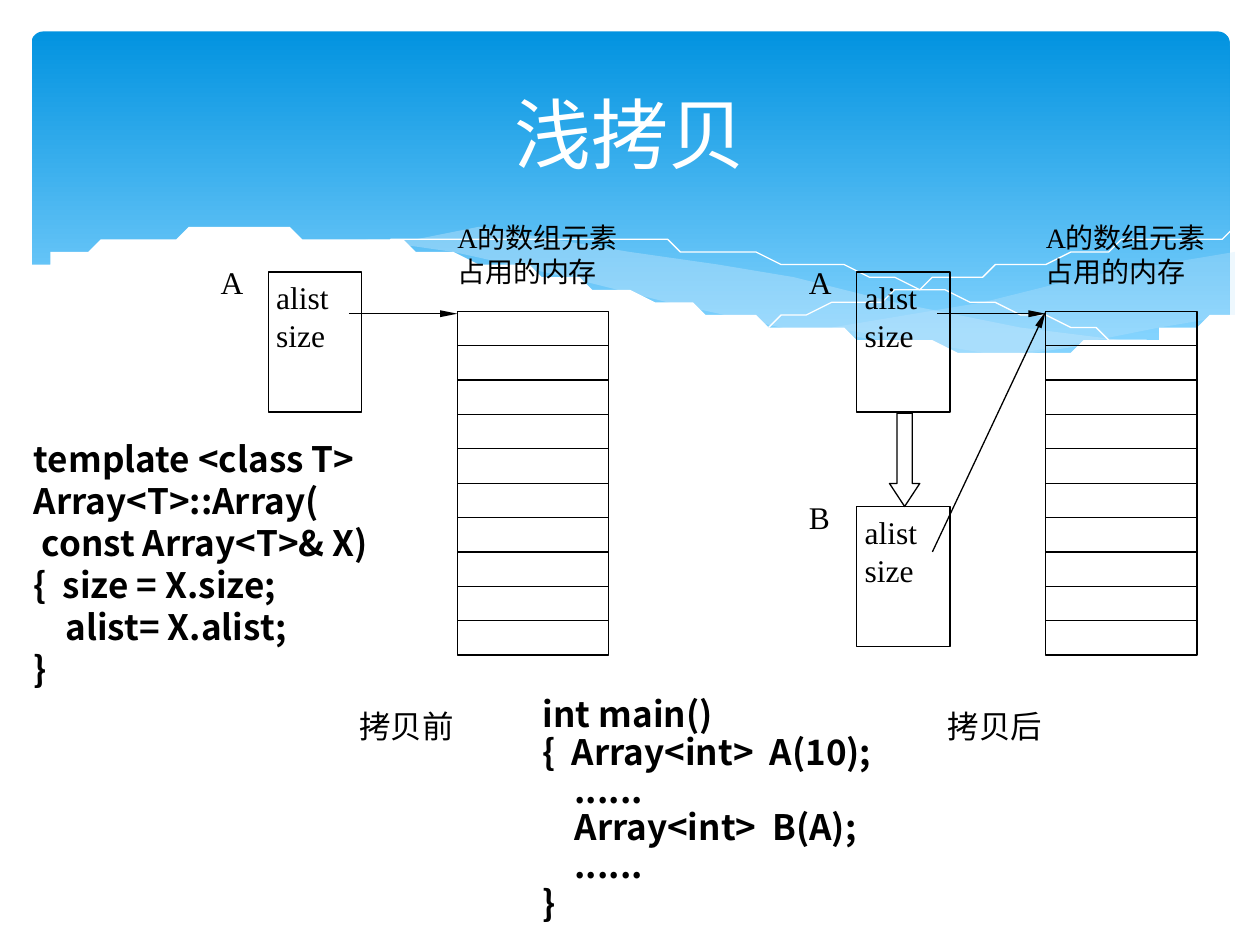
from pptx import Presentation
from pptx.dml.color import RGBColor
from pptx.enum.shapes import MSO_CONNECTOR as CONN, MSO_SHAPE as SHAPE
from pptx.enum.text import MSO_ANCHOR as ANCHOR, PP_ALIGN as ALIGN
from pptx.oxml.ns import qn
from pptx.util import Inches, Pt
from lxml.etree import SubElement

SERIF, SANS, HEAD = "Times New Roman", "Noto Sans CJK SC", "Cabin"
BLACK, WHITE, MIST = "000000", "FFFFFF", "C6E7FC"
COLS, ROWS = 100, 75
CELLS = 10

POOL = [(97.5, 20), (92.1, 21), (86.1, 22.3), (77.9, 24.2), (66.1, 26.5),
        (71.9, 27.1), (77.5, 27.6), (81.4, 27.8), (87.2, 27.4), (92.1, 26.5),
        (97.6, 24.7), (97.6, 20)]
SWELL = [(89.3, 27.3), (80.7, 26), (70.6, 24), (62.9, 22.2), (56.9, 20.8),
         (50.2, 19.6), (44.2, 18.9), (38, 18.5), (32.8, 18.7), (28.6, 19.1),
         (36.2, 20.3), (44.9, 22.2), (53, 24), (61.8, 25.8), (69.5, 27),
         (76.1, 27.7), (81.8, 27.8), (89.3, 27.3)]
CREST = [(30.9, 19.5), (34.4, 19), (38.7, 18.7), (43.3, 18.7), (48.9, 19),
         (55.6, 19.7), (63.6, 20.8), (72.7, 22.6), (83.1, 25.1), (90.7, 27.2)]
RISE = [(61.3, 25.7), (69.5, 23.5), (77.6, 21.6), (86.6, 19.9), (92.4, 19),
        (97.5, 18.5)]
SHORE = [(97.7, 24.6), (94, 25.9), (89.9, 26.9), (85, 27.5), (80.9, 27.7),
         (74.4, 27.4), (66.8, 26.5), (57.9, 25), (50.3, 23.3), (44.7, 22),
         (36.5, 20.2), (29.2, 19), (23, 18.5), (17.7, 18.4), (13.2, 18.6),
         (9.5, 19.1), (6.7, 19.7), (4.6, 20.3), (2.3, 21.3)]


def u(n):
    return Inches(n / 10)


def rgb(value):
    return RGBColor.from_string(value)


def smooth(knots, steps=5):
    ends = [knots[0]] + knots + [knots[-1]]
    points = []
    for a, b, c, d in zip(ends, ends[1:], ends[2:], ends[3:]):
        for t in (i / steps for i in range(steps)):
            points.append(tuple(
                (2 * q + (r - p) * t + (2 * p - 5 * q + 4 * r - v) * t ** 2
                 + (3 * q - p - 3 * r + v) * t ** 3) / 2
                for p, q, r, v in zip(a, b, c, d)))
    return points + [knots[-1]]


def outline(s, points, fill=None, alpha=100, closed=True):
    fb = s.shapes.build_freeform(*points[0], scale=u(1))
    fb.add_line_segments(points[1:], close=closed)
    sp = fb.convert_to_shape()
    sp.shadow.inherit = False
    if fill:
        sp.fill.solid()
        sp.fill.fore_color.rgb = rgb(fill)
        color = sp.fill._xPr.find(qn("a:solidFill"))[0]
        SubElement(color, qn("a:alpha")).set("val", str(alpha * 1000))
        sp.line.fill.background()
    else:
        sp.fill.background()
        sp.line.color.rgb = rgb(WHITE)
        sp.line.width = Pt(0)


def block(s, x, y, w, h, kind=SHAPE.RECTANGLE):
    sp = s.shapes.add_shape(kind, u(x), u(y), u(w), u(h))
    sp.shadow.inherit = False
    sp.fill.background()
    sp.line.color.rgb = rgb(BLACK)
    sp.line.width = Pt(0.75)
    return sp


def write(sp, lines, size, font=SERIF, align=ALIGN.JUSTIFY, inset=(0, 0),
          anchor=ANCHOR.TOP, color=BLACK, bold=False, leading=1.2):
    tf = sp.text_frame
    tf.word_wrap = True
    tf.vertical_anchor = anchor
    tf.margin_left = tf.margin_right = u(inset[0])
    tf.margin_top = tf.margin_bottom = u(inset[1])
    for i, line in enumerate(lines):
        p = tf.add_paragraph() if i else tf.paragraphs[0]
        p.alignment = align
        p.line_spacing = Pt(size * leading)
        r = p.add_run()
        r.text = line
        r.font.size, r.font.name, r.font.bold = Pt(size), font, bold
        r.font.color.rgb = rgb(color)
        SubElement(r.font._element, qn("a:ea")).set("typeface", SANS)


def label(s, x, y, w, h, lines, size, **style):
    write(s.shapes.add_textbox(u(x), u(y), u(w), u(h)), lines, size, **style)


def line(s, x1, y1, x2, y2, arrow=False):
    c = s.shapes.add_connector(CONN.STRAIGHT, u(x1), u(y1), u(x2), u(y2))
    c.line.color.rgb = rgb(BLACK)
    c.line.width = Pt(0.75)
    if arrow:
        tail = SubElement(c.line._get_or_add_ln(), qn("a:tailEnd"))
        for key, value in (("type", "triangle"), ("w", "sm"), ("len", "lg")):
            tail.set(key, value)
    SubElement(c._element.spPr, qn("a:effectLst"))
    return c


def banner(s, x, y, w, h):
    sp = block(s, x, y, w, h, SHAPE.ROUNDED_RECTANGLE)
    sp.adjustments[0] = 0.034
    sp.line.fill.background()
    sp.fill.gradient()
    sp.fill.gradient_angle = 270
    stops = zip(sp.fill.gradient_stops, ((0, "0293E0"), (0.9, "83D3FE")))
    for stop, (position, color) in stops:
        stop.position = position
        stop.color.rgb = rgb(color)
    outline(s, POOL, MIST, 29)
    outline(s, SWELL, MIST, 40)
    for wave in (CREST, RISE):
        outline(s, smooth(wave), closed=False)
    outline(s, smooth(SHORE) + [(2.3, 32.9), (97.7, 32.9)], WHITE)


def heading(s, x, y, w, h, text):
    sp = s.shapes.title
    s.shapes._spTree.append(sp._element)
    sp.left, sp.top, sp.width, sp.height = u(x), u(y), u(w), u(h)
    write(sp, [text], 44, font=HEAD, align=ALIGN.CENTER, color=WHITE,
          anchor=ANCHOR.MIDDLE)


def instance(s, x, y, name):
    write(block(s, x + 3.8, y + 0.7, 7.4, 11.1), [" alist", " size"], 18,
          inset=(0, 0.5))
    label(s, x, y, 2.8, 3.2, [name], 18)


def memory(s, x, y, w, h):
    frame = block(s, x, y, w, h)
    for i in range(1, CELLS):
        level = y + i * h / CELLS
        c = line(s, x, level, x + w, level)
        if i * 2 == CELLS:
            c.begin_connect(frame, 1)
            c.end_connect(frame, 3)
    label(s, x, y - 7.2, 12.9, 6.9, ["A的数组元素", "占用的内存"], 16)


def diagram(s, x, y, caption, copied=False):
    heap = x + 18.8
    instance(s, x, y, "A")
    memory(s, heap, y + 3.8, 12, 27.3)
    line(s, x + 10.2, y + 4, heap, y + 4, arrow=True)
    label(s, x + 5.5, y + 35.2, 18.5, 3.8, [caption], 18,
          align=ALIGN.CENTER, inset=(1, 0))
    if copied:
        instance(s, x, y + 18.6, "B")
        line(s, x + 9.8, y + 22.9, heap, y + 3.8, arrow=True)
        sp = block(s, x + 6.4, y + 11.9, 2.4, 7.4, SHAPE.DOWN_ARROW)
        sp.adjustments[0], sp.adjustments[1] = 0.5, 0.76


def code(s, x, y, w, h, lines, leading=1.2):
    label(s, x, y, w, h, lines, 20, font=SANS, bold=True, align=ALIGN.LEFT,
          inset=(1, 0.5), leading=leading)


def main():
    prs = Presentation()
    prs.slide_width, prs.slide_height = u(COLS), u(ROWS)
    s = prs.slides.add_slide(prs.slide_layouts[5])
    banner(s, 2.5, 2.5, 95.1, 27)
    heading(s, 5, 3.7, 90, 13.7, "浅拷贝")
    diagram(s, 17.5, 20.9, "拷贝前")
    diagram(s, 64.2, 20.9, "拷贝后", copied=True)
    code(s, 42.1, 54.8, 31.7, 19,
         ["int main()", "{  Array<int>  A(10);", "    ......",
          "    Array<int>  B(A);", "    ......", "}"], leading=1.08)
    code(s, 1.7, 34.2, 30, 21,
         ["template <class T>", "Array<T>::Array(", " const Array<T>& X)",
          "{  size = X.size;", "    alist= X.alist;", "}"])
    prs.save("out.pptx")


if __name__ == "__main__":
    main()
